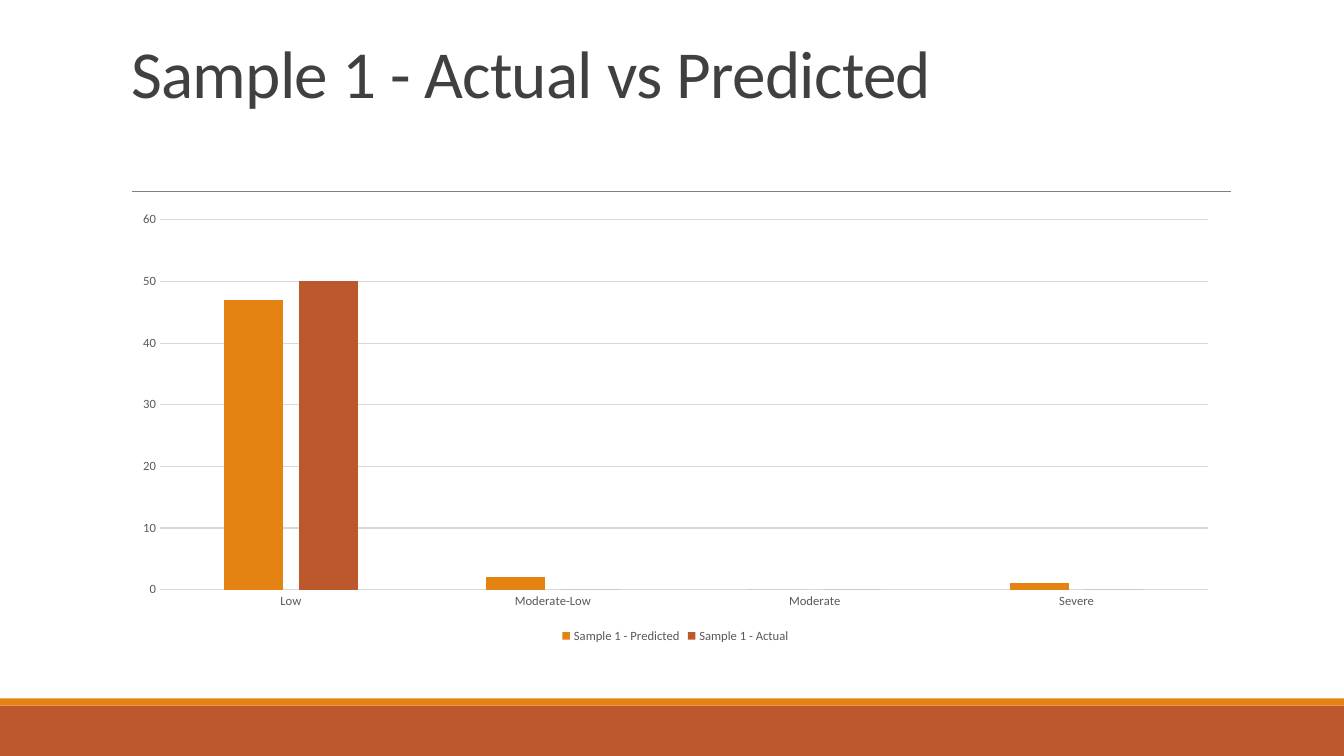
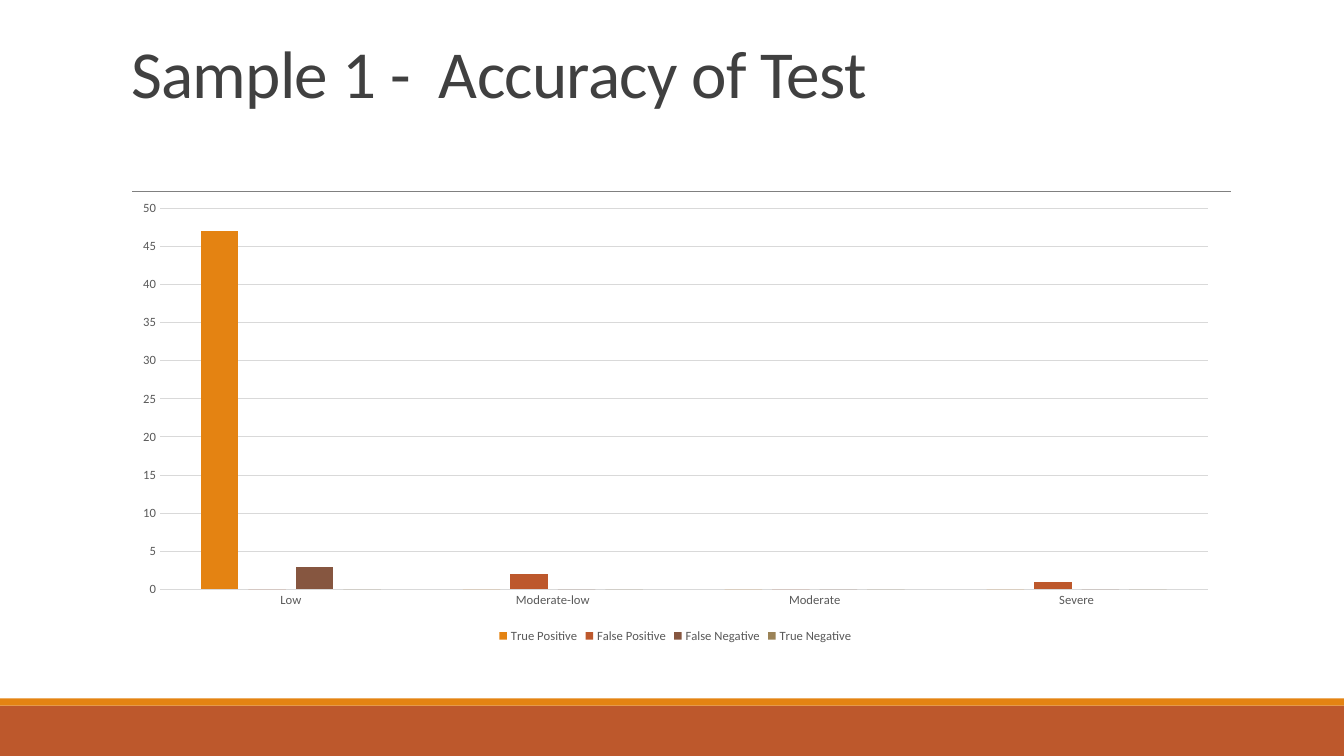
from lxml.etree import SubElement
from pptx import Presentation
from pptx.chart.data import CategoryChartData
from pptx.dml.color import RGBColor
from pptx.enum.chart import XL_CHART_TYPE, XL_LEGEND_POSITION, XL_TICK_MARK
from pptx.enum.shapes import MSO_CONNECTOR, MSO_SHAPE
from pptx.enum.text import MSO_ANCHOR, MSO_AUTO_SIZE, PP_ALIGN
from pptx.oxml.ns import qn
from pptx.util import Cm, Pt

HUES = {
    "amber": "E48312", "rust": "BD582C", "brown": "865640", "sand": "9B8357",
    "title": "404040", "label": "595959", "grid": "D9D9D9", "rule": "808080",
}
FACE = "Calibri"
WIDE, HIGH = 33.87, 19.05
LEFT, SPAN = 3.05, 27.94
HEAD = (LEFT, 0.79, SPAN, 4.04)
BASE = 16.31


def hue(name):
    return RGBColor.from_string(HUES[name])


def set_font(font, size, color):
    font.name, font.size, font.bold = FACE, Pt(size), False
    font.color.rgb = hue(color)


def set_line(line, color, width):
    line.color.rgb = hue(color)
    line.width = Pt(width)


def write(frame, text, size=48, color="title", spread=0.85, track=-50):
    para = frame.paragraphs[0]
    para.alignment = PP_ALIGN.LEFT
    para.line_spacing = spread
    run = para.add_run()
    run.text = text
    set_font(run.font, size, color)
    run.font._element.set("spc", str(track))


def add_band(slide, box, color):
    band = slide.shapes.add_shape(MSO_SHAPE.RECTANGLE, *map(Cm, box))
    band.shadow.inherit = False
    band.fill.solid()
    band.fill.fore_color.rgb = hue(color)
    band.line.fill.background()


def add_foot(slide, box):
    left, top, width, height = box
    trim = 0.18
    add_band(slide, (left, top + trim, width, height - trim), "rust")
    add_band(slide, (left, top, width, trim), "amber")


def add_head(slide, box, text):
    left, top, width, height = box
    start, end, floor = Cm(left + 0.28), Cm(left + width + 0.02), Cm(top + height)
    rule = slide.shapes.add_connector(MSO_CONNECTOR.STRAIGHT, start, floor, end, floor)
    set_line(rule.line, "rule", 0.5)
    SubElement(rule._element.spPr, qn("a:effectLst"))
    title = slide.shapes.title
    title.left, title.top, title.width, title.height = map(Cm, box)
    frame = title.text_frame
    frame.auto_size = MSO_AUTO_SIZE.NONE
    frame.word_wrap = True
    frame.vertical_anchor = MSO_ANCHOR.BOTTOM
    frame.margin_bottom = Cm(2)
    write(frame, text)


def style_axis(axis):
    axis.major_tick_mark = axis.minor_tick_mark = XL_TICK_MARK.NONE
    set_font(axis.tick_labels.font, 9, "label")


def add_bars(slide, box, cats, rows, peak, step):
    data = CategoryChartData()
    data.categories = cats
    for name, vals, _ in rows:
        data.add_series(name, vals)
    chart = slide.shapes.add_chart(
        XL_CHART_TYPE.COLUMN_CLUSTERED, *map(Cm, box), data).chart
    chart.has_title = False
    set_font(chart.font, 9, "label")
    chart.has_legend = True
    chart.legend.position = XL_LEGEND_POSITION.BOTTOM
    chart.legend.include_in_layout = False
    set_font(chart.legend.font, 9, "label")

    plot = chart.plots[0]
    plot.gap_width, plot.overlap, plot.vary_by_categories = 219, -27, False
    for bars, (_, _, color) in zip(plot.series, rows):
        bars.invert_if_negative = False
        bars.format.fill.solid()
        bars.format.fill.fore_color.rgb = hue(color)

    style_axis(chart.category_axis)
    set_line(chart.category_axis.format.line, "grid", 0.75)
    scale = chart.value_axis
    style_axis(scale)
    scale.minimum_scale, scale.maximum_scale, scale.major_unit = 0, peak, step
    scale.format.line.fill.background()
    scale.has_major_gridlines = True
    set_line(scale.major_gridlines.format.line, "grid", 0.75)


def add_page(deck, text, top, *facts):
    slide = deck.slides.add_slide(deck.slide_layouts.get_by_name("Title Only"))
    add_foot(slide, (0, 17.6, WIDE, HIGH - 17.6))
    add_head(slide, HEAD, text)
    add_bars(slide, (LEFT, top, SPAN, BASE - top), *facts)


deck = Presentation()
deck.slide_width, deck.slide_height = Cm(WIDE), Cm(HIGH)
add_page(
    deck, "Sample 1 - Actual vs Predicted", 5.13,
    ("Low", "Moderate-Low", "Moderate", "Severe"),
    (("Sample 1 - Predicted", (47, 2, 0, 1), "amber"),
     ("Sample 1 - Actual", (50, 0, 0, 0), "rust")),
    60, 10)
add_page(
    deck, "Sample 1 -  Accuracy of Test", 4.83,
    ("Low", "Moderate-low", "Moderate", "Severe"),
    (("True Positive", (47, 0, 0, 0), "amber"),
     ("False Positive", (0, 2, 0, 1), "rust"),
     ("False Negative", (3, 0, 0, 0), "brown"),
     ("True Negative", (0, 0, 0, 0), "sand")),
    50, 5)
deck.save("out.pptx")
